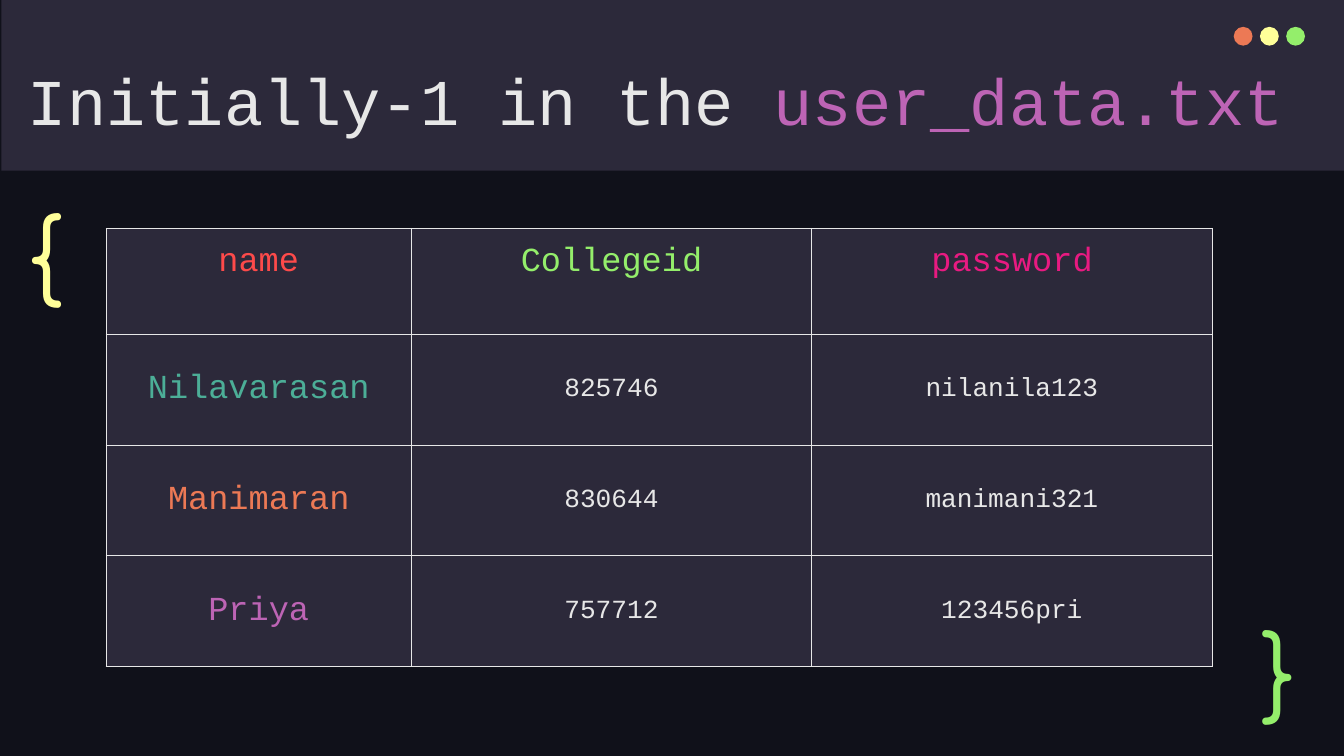
from dataclasses import dataclass

from pptx import Presentation
from pptx.dml.color import RGBColor as Rgb
from pptx.enum.shapes import MSO_SHAPE as Kind
from pptx.enum.text import MSO_ANCHOR as Anchor, PP_ALIGN as Align
from pptx.oxml import parse_xml
from pptx.oxml.ns import nsdecls
from pptx.util import Inches, Pt

HUES = {
    "back": "10111A", "panel": "2C293A", "text": "E7E7E7", "red": "FD4A4A",
    "green": "94EE6B", "pink": "E81A81", "teal": "4CAE97", "orange": "EC7955",
    "purple": "BD64B5", "yellow": "FFFF99",
}
MONO = "Courier New"


@dataclass
class Span:
    text: str
    hue: str
    size: float
    face: str = MONO


@dataclass
class Box:
    left: float
    top: float
    width: float
    height: float

    def emu(self) -> list:
        return [Inches(n) for n in (self.left, self.top, self.width, self.height)]


def color(hue: str) -> Rgb:
    return Rgb.from_string(HUES[hue])


def paint(item, hue: str) -> None:
    item.fill.solid()
    item.fill.fore_color.rgb = color(hue)


def add_span(para, span: Span) -> None:
    run = para.add_run()
    run.text = span.text
    style = {"name": span.face, "size": Pt(span.size)}
    for key, value in style.items():
        setattr(run.font, key, value)
    run.font.color.rgb = color(span.hue)


def add_shape(slide, kind, box: Box, hue: str) -> None:
    shape = slide.shapes.add_shape(kind, *box.emu())
    shape.shadow.inherit = False
    paint(shape, hue)
    shape.line.fill.background()


def add_text(slide, box: Box, spans: list[Span]) -> None:
    frame = slide.shapes.add_textbox(*box.emu()).text_frame
    style = {"word_wrap": True, "vertical_anchor": Anchor.TOP}
    for side in ("left", "right", "top", "bottom"):
        style[f"margin_{side}"] = Inches(0.1)
    for key, value in style.items():
        setattr(frame, key, value)
    for span in spans:
        add_span(frame.paragraphs[0], span)


def add_edges(cell) -> None:
    props = cell._tc.get_or_add_tcPr()
    for at, side in enumerate(("lnL", "lnR", "lnT", "lnB")):
        props.insert(at, parse_xml(
            f'<a:{side} {nsdecls("a")} w="{Pt(0.75)}"><a:solidFill>'
            f'<a:srgbClr val="{HUES["text"]}"/></a:solidFill></a:{side}>'))


def fill_cell(cell, span: Span, head: bool) -> None:
    style = {
        "vertical_anchor": Anchor.TOP if head else Anchor.MIDDLE,
        "margin_left": Inches(0.1), "margin_right": Inches(0.1),
        "margin_top": Inches(0.11 if head else 0.07),
        "margin_bottom": Inches(0.07),
    }
    for key, value in style.items():
        setattr(cell, key, value)
    paint(cell, "panel")
    add_edges(cell)
    para = cell.text_frame.paragraphs[0]
    para.alignment = Align.CENTER
    add_span(para, span)


def add_grid(slide, box: Box, cols: list[float], head: float,
             data: list[list[Span]]) -> None:
    grid = slide.shapes.add_table(len(data), len(cols), *box.emu()).table
    for col, width in zip(grid.columns, cols):
        col.width = Inches(width)
    step = (box.height - head) / (len(data) - 1)
    for y, line in enumerate(data):
        grid.rows[y].height = Inches(step if y else head)
        for x, span in enumerate(line):
            fill_cell(grid.cell(y, x), span, y == 0)


def main() -> None:
    deck = Presentation()
    deck.slide_width = Inches(10)
    deck.slide_height = Inches(10 * 9 / 16)
    slide = deck.slides.add_slide(deck.slide_layouts[6])
    paint(slide.background, "back")

    # Top band with window dots
    add_shape(slide, Kind.RECTANGLE, Box(0.01, 0, 10, 1.27), "panel")
    for i, hue in enumerate(("orange", "yellow", "green")):
        add_shape(slide, Kind.OVAL, Box(9.18 + 0.195 * i, 0.2, 0.14, 0.14), hue)

    # Title
    add_text(slide, Box(0.11, 0.35, 9.89, 0.63), [
        Span("Initially-1 in the ", "text", 35),
        Span("user_data.txt", "purple", 35)])

    # User table
    heads = [("name", "red"), ("Collegeid", "green"), ("password", "pink")]
    users = [
        ("Nilavarasan", "teal", "825746", "nilanila123"),
        ("Manimaran", "orange", "830644", "manimani321"),
        ("Priya", "purple", "757712", "123456pri"),
    ]
    data = [[Span(word, hue, 18) for word, hue in heads]]
    for name, hue, code, key in users:
        data.append([Span(name, hue, 18), Span(code, "text", 14),
                     Span(key, "text", 14)])
    add_grid(slide, Box(0.79, 1.7, 8.23, 3.26), [2.27, 2.98, 2.98], 0.79, data)

    # Braces around the table
    add_text(slide, Box(0.11, 1.34, 0.77, 0.95),
             [Span("{", "yellow", 50, "Comfortaa")])
    add_text(slide, Box(9.29, 4.44, 0.57, 0.83),
             [Span("}", "green", 50, "Comfortaa")])

    deck.save("out.pptx")


if __name__ == "__main__":
    main()
